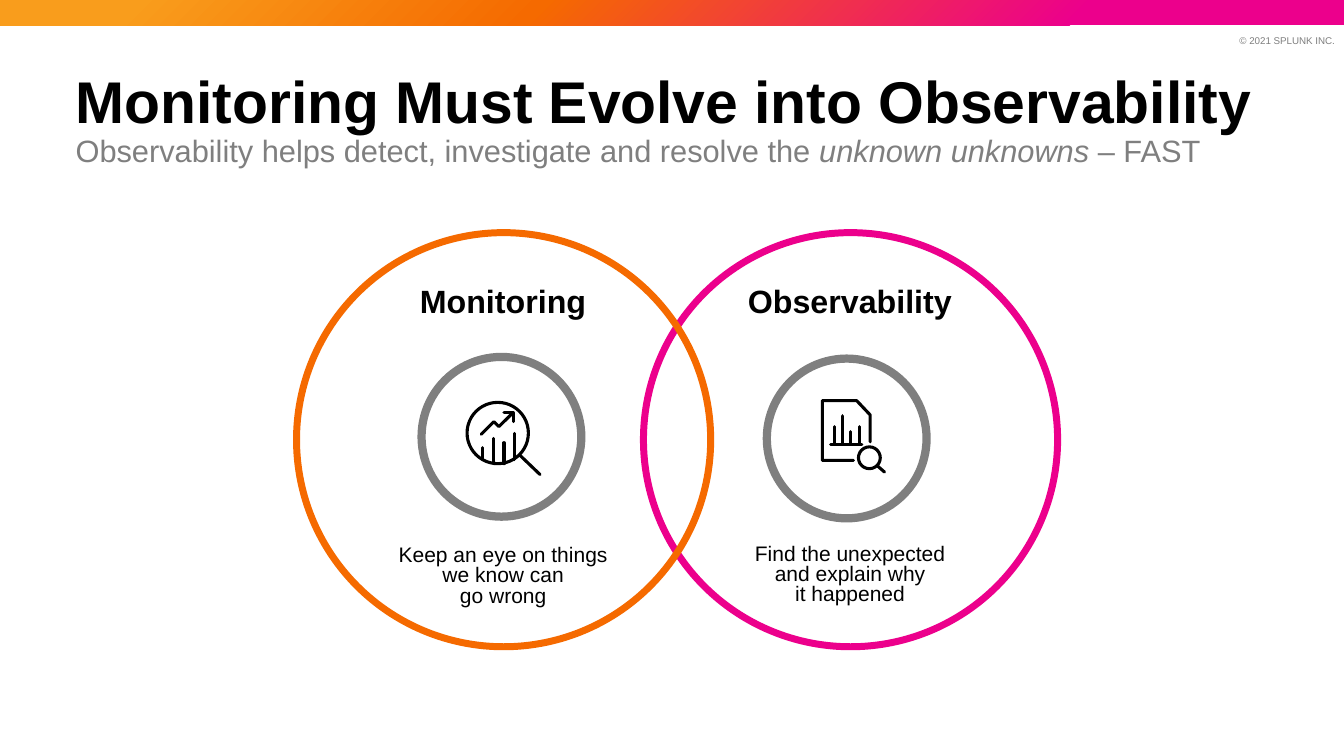
from lxml import etree
from pptx import Presentation
from pptx.dml.color import RGBColor
from pptx.enum.shapes import MSO_CONNECTOR, MSO_SHAPE
from pptx.enum.text import MSO_ANCHOR, MSO_AUTO_SIZE, PP_ALIGN
from pptx.oxml.ns import nsdecls, qn
from pptx.util import Inches, Pt

TOP, MID, LOW = MSO_ANCHOR.TOP, MSO_ANCHOR.MIDDLE, MSO_ANCHOR.BOTTOM
LEFT, MIDST, RIGHT = PP_ALIGN.LEFT, PP_ALIGN.CENTER, PP_ALIGN.RIGHT
FIXED = MSO_AUTO_SIZE.NONE
OVAL, DONUT, RECT = MSO_SHAPE.OVAL, MSO_SHAPE.DONUT, MSO_SHAPE.RECTANGLE
STRAIGHT = MSO_CONNECTOR.STRAIGHT

WIDE, HIGH = Inches(13.33), Inches(7.5)
COL, ROW = WIDE / 16, HIGH / 9
FONT = "Arial"
INK = 2.2
HUES = {"black": "000000", "gray": "7F7F7F", "gold": "F99D1C",
        "orange": "F56A00", "pink": "EC008C"}
STOPS = ((0, "gold"), (10, "gold"), (40, "orange"), (80, "pink"), (100, "pink"))


def rgb(hue):
    """Return the colour that a hue name stands for."""
    return RGBColor.from_string(HUES[hue])


def place(*cells):
    """Turn left, top, width and height in grid cells into lengths."""
    return [round(cell * unit) for cell, unit in zip(cells, (COL, ROW) * 2)]


def write(shape, text, size, hue="black", bold=False, side=LEFT, lead=1.0,
          hold=TOP, pad=(0, 0)):
    """Fill a shape with one paragraph of styled text."""
    frame = shape.text_frame
    frame.text = text
    frame.word_wrap = True
    frame.auto_size = FIXED
    frame.vertical_anchor = hold
    frame.margin_left = frame.margin_right = Inches(pad[0])
    frame.margin_top = frame.margin_bottom = Inches(pad[1])
    para = frame.paragraphs[0]
    para.alignment = side
    para.line_spacing = lead
    for run in para.runs:
        style(run, size, hue, bold)


def style(run, size, hue, bold=False, slant=False):
    """Set the font of a run."""
    font = run.font
    font.name, font.size = FONT, Pt(size)
    font.bold, font.italic = bold, slant
    font.color.rgb = rgb(hue)


def label(slide, spot, text, size, **looks):
    """Add a text box."""
    box = slide.shapes.add_textbox(*place(*spot))
    write(box, text, size, **looks)
    return box


def ring(slide, left, top, size, hue, width):
    """Add an outlined circle without fill."""
    shape = slide.shapes.add_shape(OVAL, *place(left, top, size, size))
    shape.shadow.inherit = False
    shape.fill.background()
    shape.line.color.rgb = rgb(hue)
    shape.line.width = Pt(width)


def badge(slide, left, top):
    """Add the gray donut around an icon."""
    shape = slide.shapes.add_shape(DONUT, *place(left, top, 2, 2))
    shape.adjustments[0] = 0.049
    shape.shadow.inherit = False
    shape.fill.solid()
    shape.fill.fore_color.rgb = rgb("gray")
    shape.line.fill.background()


def stroke(slide, *dots):
    """Draw a round-capped line through points on the grid."""
    spots = [place(*dot) for dot in dots]
    if len(spots) == 2:
        shape = slide.shapes.add_connector(STRAIGHT, *spots[0], *spots[1])
        etree.SubElement(shape._element.spPr, qn("a:effectLst"))
    else:
        path = slide.shapes.build_freeform(*spots[0])
        path.add_line_segments(spots[1:], close=False)
        shape = path.convert_to_shape()
        shape.shadow.inherit = False
        shape.fill.background()
    shape.line.color.rgb = rgb("black")
    shape.line.width = Pt(INK)
    line = shape.line._get_or_add_ln()
    line.set("cap", "rnd")
    etree.SubElement(line, qn("a:round"))


def bars(slide, left, step, spans):
    """Draw upright strokes at an equal step."""
    for rank, (top, base) in enumerate(spans):
        across = left + rank * step
        stroke(slide, (across, top), (across, base))


def band(slide):
    """Add the gradient strip along the top edge."""
    shape = slide.shapes.add_shape(RECT, *place(0, 0, 16, 0.3))
    shape.shadow.inherit = False
    shape.line.fill.background()
    stops = "".join(f'<a:gs pos="{at * 1000}"><a:srgbClr val="{HUES[hue]}"/></a:gs>'
                    for at, hue in STOPS)
    blend = etree.fromstring(
        f'<a:gradFill {nsdecls("a")} rotWithShape="1"><a:gsLst>{stops}</a:gsLst>'
        '<a:path path="circle"><a:fillToRect r="100000" b="100000"/></a:path>'
        '</a:gradFill>')
    shape._element.spPr.find(qn("a:prstGeom")).addnext(blend)


def heading(slide):
    """Set the title and the line below it."""
    title = slide.shapes.title
    title.left, title.top, title.width, title.height = place(0.9, 0.24, 14.6, 1.36)
    write(title, "Monitoring Must Evolve into Observability", 42,
          bold=True, lead=0.8, hold=LOW)
    box = label(slide, (0.9, 1.64, 14.2, 0.37),
                "Observability helps detect, investigate and resolve the ", 22,
                hue="gray", lead=0.83)
    para = box.text_frame.paragraphs[0]
    for text, slant in (("unknown unknowns", True), (" – FAST", False)):
        run = para.add_run()
        run.text = text
        style(run, 22, "gray", slant=slant)


def report(slide):
    """Draw the page icon with bars and a small lens."""
    stroke(slide, (10.16, 5.48), (9.79, 5.48), (9.79, 4.77), (10.2, 4.77),
           (10.36, 4.94), (10.36, 5.26))
    stroke(slide, (9.89, 5.29), (10.26, 5.29))
    bars(slide, 9.93, 0.1, [(top, 5.27) for top in (5.08, 4.95, 5.14, 5.08)])
    stroke(slide, (10.45, 5.55), (10.53, 5.62))
    ring(slide, 10.22, 5.32, 0.26, "black", INK)


def lens(slide):
    """Draw the large lens icon with bars and a trend arrow."""
    stroke(slide, (6.19, 5.42), (6.43, 5.65))
    ring(slide, 5.56, 4.79, 0.73, "black", INK)
    bars(slide, 5.74, 0.13, ((5.33, 5.47), (5.22, 5.52), (5.27, 5.52), (5.16, 5.47)))
    stroke(slide, (6, 4.91), (6.11, 4.91), (6.11, 5.02))
    stroke(slide, (5.73, 5.17), (5.88, 5.02), (5.94, 5.08), (6.11, 4.91))


def topic(slide, left, head, note, drop):
    """Add the heading and the note of one circle."""
    looks = {"side": MIDST, "pad": (0.07, 0.04)}
    label(slide, (left, 3.11, 2.82, 1), head, 23, bold=True, lead=0.9,
          hold=MID, **looks)
    label(slide, (left, drop, 2.82, 1), note, 15, lead=0.8, **looks)


def main():
    """Build the slide and save it."""
    deck = Presentation()
    deck.slide_width, deck.slide_height = WIDE, HIGH
    slide = deck.slides.add_slide(deck.slide_layouts[5])
    label(slide, (14.26, 0.35, 1.75, 0.24), "© 2021 SPLUNK INC.", 7,
          hue="gray", side=RIGHT, pad=(0.1, 0.05))
    band(slide)
    heading(slide)
    topic(slide, 4.58, "Monitoring",
          "Keep an eye on things\vwe know can\vgo wrong", 6.46)
    topic(slide, 8.71, "Observability",
          "Find the unexpected\vand explain why\vit happened", 6.44)
    ring(slide, 7.66, 2.77, 4.93, "pink", 5)
    report(slide)
    badge(slide, 9.08, 4.22)
    ring(slide, 3.53, 2.77, 4.93, "orange", 5)
    lens(slide)
    badge(slide, 4.97, 4.2)
    deck.save("out.pptx")


if __name__ == "__main__":
    main()
